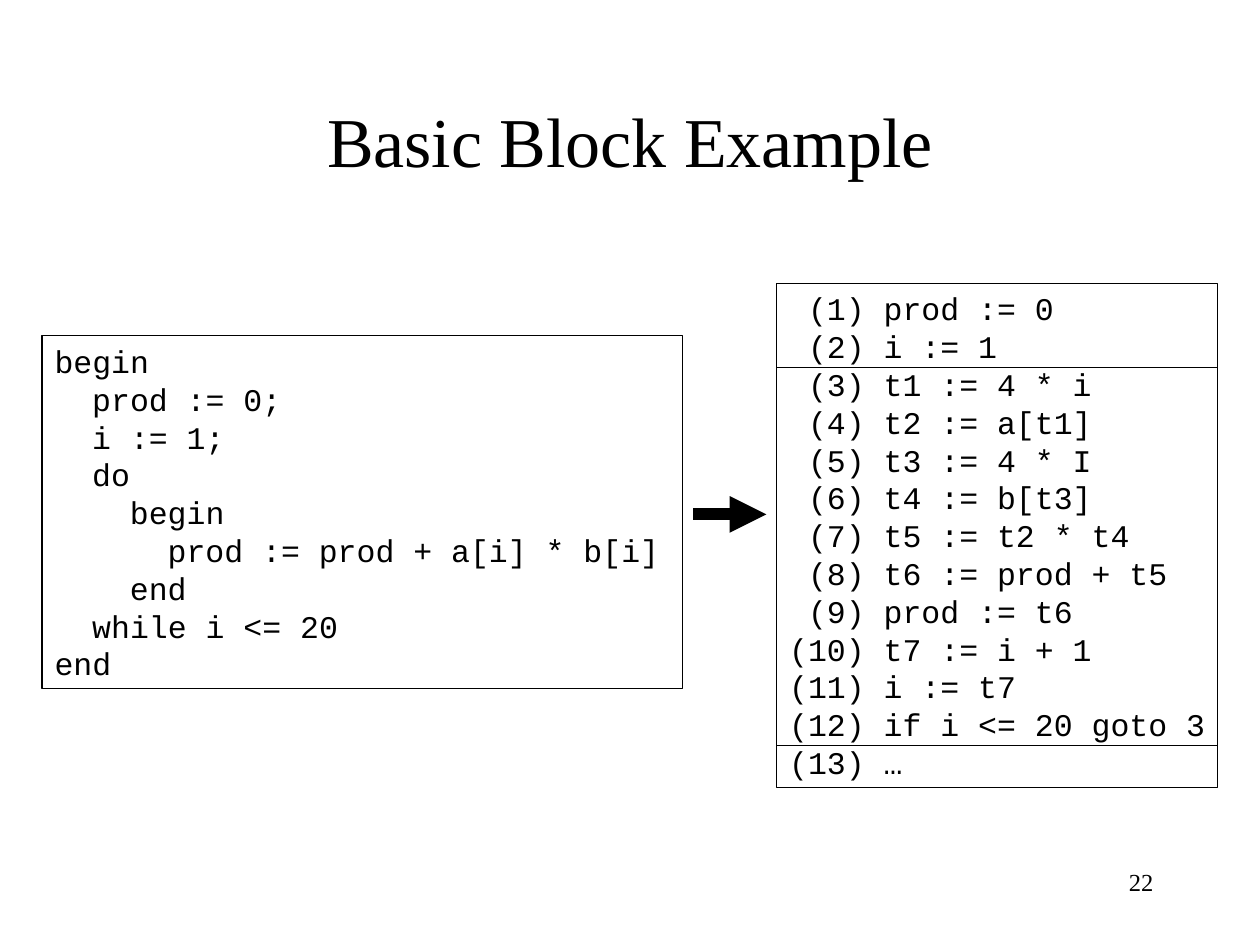
from lxml import etree
from pptx import Presentation
from pptx import util as u
from pptx.dml.color import RGBColor
from pptx.enum import shapes, text
from pptx.oxml.ns import qn

BLACK = RGBColor(0, 0, 0)
SERIF = {"name": "Times New Roman"}
MONO = {"name": "Courier New", "size": u.Pt(18)}
LINE_PT = 21.6  # height of one code line
LINE_CM = LINE_PT * 2.54 / 72
INDENT_CM = 0.76  # two monospaced characters
TOP_INSET = 0.13

# Source program as (indent level, statement)
SOURCE = [
    (0, "begin"), (1, "prod := 0;"), (1, "i := 1;"), (1, "do"),
    (2, "begin"), (3, "prod := prod + a[i] * b[i]"), (2, "end"),
    (1, "while i <= 20"), (0, "end"),
]
THREE_ADDRESS = [
    "prod := 0", "i := 1", "t1 := 4 * i", "t2 := a[t1]", "t3 := 4 * I",
    "t4 := b[t3]", "t5 := t2 * t4", "t6 := prod + t5", "prod := t6",
    "t7 := i + 1", "i := t7", "if i <= 20 goto 3", "…",
]
BLOCK_ENDS = (2, 12)  # last instruction of each basic block


def add_run(p, content, fmt):
    r = p.add_run()
    r.text = content
    r.font.color.rgb = BLACK
    for key, value in fmt.items():
        setattr(r.font, key, value)


def add_label(s, box, content, size, align, anchor):
    tf = s.shapes.add_textbox(*map(u.Cm, box)).text_frame
    tf.word_wrap = True
    tf.vertical_anchor = anchor
    p = tf.paragraphs[0]
    p.alignment = align
    add_run(p, content, {**SERIF, "size": u.Pt(size)})


def add_line(s, x1, y1, x2, y2, width=0.75):
    line = s.shapes.add_connector(
        shapes.MSO_CONNECTOR.STRAIGHT, *map(u.Cm, (x1, y1, x2, y2)))
    line.line.color.rgb = BLACK
    line.line.width = u.Pt(width)
    etree.SubElement(line._element.spPr, qn("a:effectLst"))
    return line


def add_code_box(s, box, lines):
    """Outlined box of code; lines are (indent level, text)."""
    sp = s.shapes.add_shape(shapes.MSO_SHAPE.RECTANGLE, *map(u.Cm, box))
    sp.shadow.inherit = False
    sp.fill.background()
    sp.line.color.rgb = BLACK
    sp.line.width = u.Pt(0.75)
    tf = sp.text_frame
    tf.word_wrap = True
    tf.vertical_anchor = text.MSO_ANCHOR.TOP
    for i, (level, content) in enumerate(lines):
        p = tf.paragraphs[0] if i == 0 else tf.add_paragraph()
        p.alignment = text.PP_ALIGN.LEFT
        p.line_spacing = u.Pt(LINE_PT)
        if level:
            p._p.get_or_add_pPr().set("marL", str(u.Cm(level * INDENT_CM)))
        add_run(p, content, MONO)


def add_three_address_code(s, box):
    """Numbered instructions with a rule after each basic block."""
    left, top, width, _ = box
    lines = [(0, f"{f'({n})':>4} {code}")
             for n, code in enumerate(THREE_ADDRESS, 1)]
    add_code_box(s, box, lines)
    for n in BLOCK_ENDS:
        y = top + TOP_INSET + n * LINE_CM + 0.05
        add_line(s, left, y, left + width, y)


def add_arrow(s, x1, x2, y):
    arrow = add_line(s, x1, y, x2, y, width=7)
    etree.SubElement(arrow.line._get_or_add_ln(), qn("a:tailEnd"),
                     type="triangle")


def main():
    prs = Presentation()
    prs.slide_width, prs.slide_height = u.Cm(25.4), u.Cm(19.05)
    s = prs.slides.add_slide(prs.slide_layouts[6])

    # Title
    add_label(s, (1.9, 1.7, 21.6, 2.24), "Basic Block Example", 40,
              text.PP_ALIGN.CENTER, text.MSO_ANCHOR.MIDDLE)
    # Program and its translation
    add_code_box(s, (0.85, 6.77, 12.91, 7.11), SOURCE)
    add_three_address_code(s, (15.66, 5.71, 8.89, 10.16))
    add_arrow(s, 13.97, 15.45, 10.37)
    # Slide number
    add_label(s, (18.2, 17.35, 5.3, 1.27), "22", 14,
              text.PP_ALIGN.RIGHT, text.MSO_ANCHOR.TOP)

    prs.save("out.pptx")


if __name__ == "__main__":
    main()
